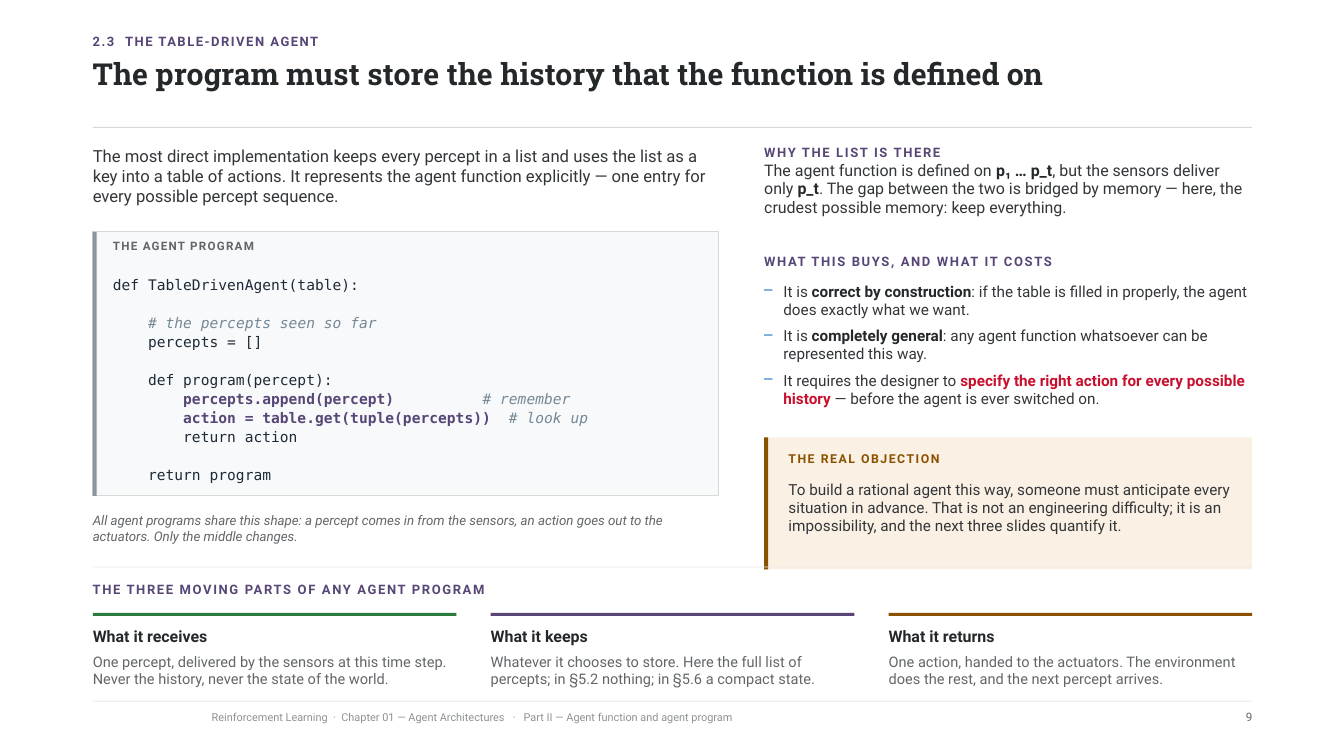
from typing import NamedTuple

from lxml import etree
from pptx import Presentation
from pptx.dml.color import RGBColor
from pptx.enum.shapes import MSO_SHAPE
from pptx.enum.text import PP_ALIGN
from pptx.oxml.ns import qn
from pptx.util import Inches, Pt

RECTANGLE = MSO_SHAPE.RECTANGLE
RIGHT = PP_ALIGN.RIGHT

INK = RGBColor(0x25, 0x28, 0x2A)
BODY = RGBColor(0x33, 0x36, 0x39)
MUTED = RGBColor(0x62, 0x66, 0x69)
FAINT = RGBColor(0x8E, 0x92, 0x95)
PURPLE = RGBColor(0x57, 0x46, 0x76)
GREEN = RGBColor(0x2B, 0x7A, 0x3E)
BROWN = RGBColor(0x8A, 0x51, 0x00)
RED = RGBColor(0xC8, 0x10, 0x2E)
BLUE = RGBColor(0x19, 0x71, 0xC2)
CODE = RGBColor(0x1F, 0x2A, 0x37)
COMMENT = RGBColor(0x76, 0x88, 0x96)
SLATE = RGBColor(0x8A, 0x95, 0x9E)
CODE_FILL = RGBColor(0xF7, 0xF9, 0xFB)
CREAM = RGBColor(0xFA, 0xF1, 0xE4)
RULE = RGBColor(0xD9, 0xD9, 0xD6)
PALE_RULE = RGBColor(0xE9, 0xE9, 0xE6)

SANS = "Roboto"
SLAB = "Roboto Slab"
MONO = "DejaVu Sans Mono"

MARGIN = 0.92
CONTENT = 11.5
LEFT_COLUMN = 6.21
RIGHT_COLUMN = 4.84
HAIRLINE = 0.01
ACCENT = 0.04
BULLET_INDENT = 0.19

STRONG = {"bold": True, "color": INK}
ALARM = {"bold": True, "color": RED}
CALL = {"bold": True, "color": PURPLE}
REMARK = {"italic": True, "color": COMMENT}
HEADING = {"size": 9.3, "leading": 9.3, "color": PURPLE, "bold": True, "tracking": 1.2}


class Box(NamedTuple):
    left: float
    top: float
    width: float
    height: float


def inset(box, dx, dy, width, height):
    return Box(box.left + dx, box.top + dy, width, height)


def add_span(para, text, size, color, font=SANS, bold=False, italic=False, tracking=0):
    span = para.add_run()
    span.text = text
    span.font.name = font
    span.font.size = Pt(size)
    span.font.bold = bold
    span.font.italic = italic
    span.font.color.rgb = color
    if tracking:
        span.font._element.set("spc", str(round(tracking * 100)))


def add_bullet(para):
    props = para._p.get_or_add_pPr()
    props.set("marL", str(Inches(BULLET_INDENT)))
    props.set("indent", str(-Inches(BULLET_INDENT)))
    color = etree.SubElement(props, qn("a:buClr"))
    etree.SubElement(color, qn("a:srgbClr")).set("val", str(BLUE))
    etree.SubElement(props, qn("a:buChar")).set("char", "–")


def add_para(frame, text, leading, before=0, align=None, bullet=False, **style):
    first = frame.paragraphs[0]
    para = frame.add_paragraph() if first.runs else first
    if bullet:
        add_bullet(para)
    para.line_spacing = Pt(leading)
    if before:
        para.space_before = Pt(before)
    if align is not None:
        para.alignment = align
    spans = [(text, {})] if isinstance(text, str) else text
    for words, changes in spans:
        add_span(para, words, **{**style, **changes})


def add_frame(page, box, wrap=True):
    frame = page.shapes.add_textbox(*map(Inches, box)).text_frame
    frame.word_wrap = wrap
    frame.margin_left = frame.margin_top = frame.margin_right = frame.margin_bottom = 0
    return frame


def add_text(page, box, text, **style):
    frame = add_frame(page, box)
    add_para(frame, text, **style)
    return frame


def add_block(page, box, fill, line=None):
    block = page.shapes.add_shape(RECTANGLE, *map(Inches, box))
    block.shadow.inherit = False
    block.fill.solid()
    block.fill.fore_color.rgb = fill
    if line is None:
        block.line.fill.background()
    else:
        block.line.color.rgb = line
        block.line.width = Pt(0.75)


def add_panel(page, box, fill, accent, line=None):
    add_block(page, box, fill, line)
    add_block(page, inset(box, 0, 0, ACCENT, box.height), accent)


def build_header(page, box):
    add_text(page, inset(box, 0, 0, box.width, 0.22), "2.3  THE TABLE-DRIVEN AGENT",
             **{**HEADING, "tracking": 1.1})
    add_text(page, inset(box, 0, 0.24, box.width, 0.52),
             "The program must store the history that the function is defined on",
             size=21.6, leading=22.5, font=SLAB, color=INK, bold=True)
    add_block(page, inset(box, 0, box.height, box.width, HAIRLINE), RULE)


def build_footer(page, box):
    add_block(page, inset(box, 0, 0, box.width, HAIRLINE), PALE_RULE)
    add_text(page, inset(box, 1.18, 0.12, 9.1, 0.22),
             "Reinforcement Learning  ·  Chapter 01 — Agent Architectures   ·   "
             "Part II — Agent function and agent program",
             size=7.8, leading=7.8, color=FAINT)
    add_text(page, inset(box, box.width - 1.2, 0.12, 1.2, 0.22), "9",
             size=8.3, leading=8.3, color=MUTED, align=RIGHT)


def build_code(page, box):
    leading = 13.6
    add_panel(page, box, CODE_FILL, SLATE, RULE)
    add_text(page, inset(box, 0.2, 0.09, box.width - 0.4, 0.22), "THE AGENT PROGRAM",
             size=8.3, leading=8.3, color=MUTED, bold=True, tracking=0.9)
    groups = [
        ["def TableDrivenAgent(table):"],
        [[("    ", {}), ("# the percepts seen so far", REMARK)],
         "    percepts = []"],
        ["    def program(percept):",
         [("        percepts.append(percept)          ", CALL), ("# remember", REMARK)],
         [("        action = table.get(tuple(percepts))  ", CALL), ("# look up", REMARK)],
         "        return action"],
        ["    return program"],
    ]
    frame = add_frame(page, inset(box, 0.2, 0.42, box.width - 0.34, 2.12), wrap=False)
    for group_index, group in enumerate(groups):
        for line_index, line in enumerate(group):
            opens_group = group_index > 0 and line_index == 0
            add_para(frame, line, leading, before=leading if opens_group else 0,
                     size=10.4, font=MONO, color=CODE)


def build_program_column(page, box):
    add_text(page, inset(box, 0, 0, box.width, 0.64),
             "The most direct implementation keeps every percept in a list and uses the list "
             "as a key into a table of actions. It represents the agent function explicitly — "
             "one entry for every possible percept sequence.",
             size=11.9, leading=14.5, color=BODY)
    build_code(page, inset(box, 0, 0.86, box.width, 2.62))
    add_text(page, inset(box, 0, 3.64, box.width, 0.35),
             "All agent programs share this shape: a percept comes in from the sensors, an "
             "action goes out to the actuators. Only the middle changes.",
             size=9.5, leading=11.4, color=MUTED, italic=True)


def build_objection(page, box):
    add_panel(page, box, CREAM, BROWN)
    add_text(page, inset(box, 0.24, 0.16, box.width - 0.32, 0.2), "THE REAL OBJECTION",
             size=8.8, leading=8.8, color=BROWN, bold=True, tracking=1.1)
    add_text(page, inset(box, 0.24, 0.42, box.width - 0.42, 0.73),
             "To build a rational agent this way, someone must anticipate every situation in "
             "advance. That is not an engineering difficulty; it is an impossibility, and the "
             "next three slides quantify it.",
             size=10.9, leading=13.1, color=BODY)


def build_argument_column(page, box):
    frame = add_text(page, inset(box, 0, 0, box.width, 0.84), "WHY THE LIST IS THERE",
                     **{**HEADING, "leading": 11})
    add_para(frame, [
        ("The agent function is defined on ", {}), ("p₁ … p_t", STRONG),
        (", but the sensors deliver only ", {}), ("p_t", STRONG),
        (". The gap between the two is bridged by memory — here, the crudest possible "
         "memory: keep everything.", {}),
    ], size=11.4, leading=13.4, color=BODY)
    add_text(page, inset(box, 0, 1.1, box.width, 0.2),
             "WHAT THIS BUYS, AND WHAT IT COSTS", **HEADING)
    points = [
        ("It is ", "correct by construction", STRONG,
         ": if the table is filled in properly, the agent does exactly what we want."),
        ("It is ", "completely general", STRONG,
         ": any agent function whatsoever can be represented this way."),
        ("It requires the designer to ", "specify the right action for every possible history",
         ALARM, " — before the agent is ever switched on."),
    ]
    frame = add_frame(page, inset(box, 0, 1.36, box.width, 1.28))
    for index, (lead, key, emphasis, rest) in enumerate(points):
        add_para(frame, [(lead, {}), (key, emphasis), (rest, {})], bullet=True,
                 before=6 if index else 0, size=10.9, leading=12.9, color=BODY)
    build_objection(page, inset(box, 0, 2.9, box.width, 1.31))


def build_moving_parts(page, box):
    add_block(page, inset(box, 0, 0, box.width, HAIRLINE), PALE_RULE)
    add_text(page, inset(box, 0, 0.18, 6, 0.2),
             "THE THREE MOVING PARTS OF ANY AGENT PROGRAM", **HEADING)
    roles = [
        ("What it receives", GREEN, "One percept, delivered by the sensors at this time step. "
         "Never the history, never the state of the world."),
        ("What it keeps", PURPLE, "Whatever it chooses to store. Here the full list of "
         "percepts; in §5.2 nothing; in §5.6 a compact state."),
        ("What it returns", BROWN, "One action, handed to the actuators. The environment "
         "does the rest, and the next percept arrives."),
    ]
    gap = 0.34
    width = (box.width - gap * (len(roles) - 1)) / len(roles)
    for index, (title, color, detail) in enumerate(roles):
        offset = index * (width + gap)
        add_block(page, inset(box, offset, 0.46, width, 0.03), color)
        frame = add_text(page, inset(box, offset, 0.6, width, 0.64), title,
                         size=11.4, leading=13.4, color=INK, bold=True)
        add_para(frame, detail, size=10.4, leading=12.3, before=5, color=MUTED)


def main():
    deck = Presentation()
    deck.slide_width = Inches(13.33)
    deck.slide_height = Inches(7.5)
    page = deck.slides.add_slide(deck.slide_layouts[6])
    build_header(page, Box(MARGIN, 0.36, CONTENT, 0.9))
    build_footer(page, Box(MARGIN, 6.95, CONTENT, 0.34))
    build_program_column(page, Box(MARGIN, 1.44, LEFT_COLUMN, 3.99))
    right_edge = MARGIN + CONTENT
    build_argument_column(page, Box(right_edge - RIGHT_COLUMN, 1.44, RIGHT_COLUMN, 4.21))
    build_moving_parts(page, Box(MARGIN, 5.62, CONTENT, 1.24))
    deck.save("out.pptx")


if __name__ == "__main__":
    main()
